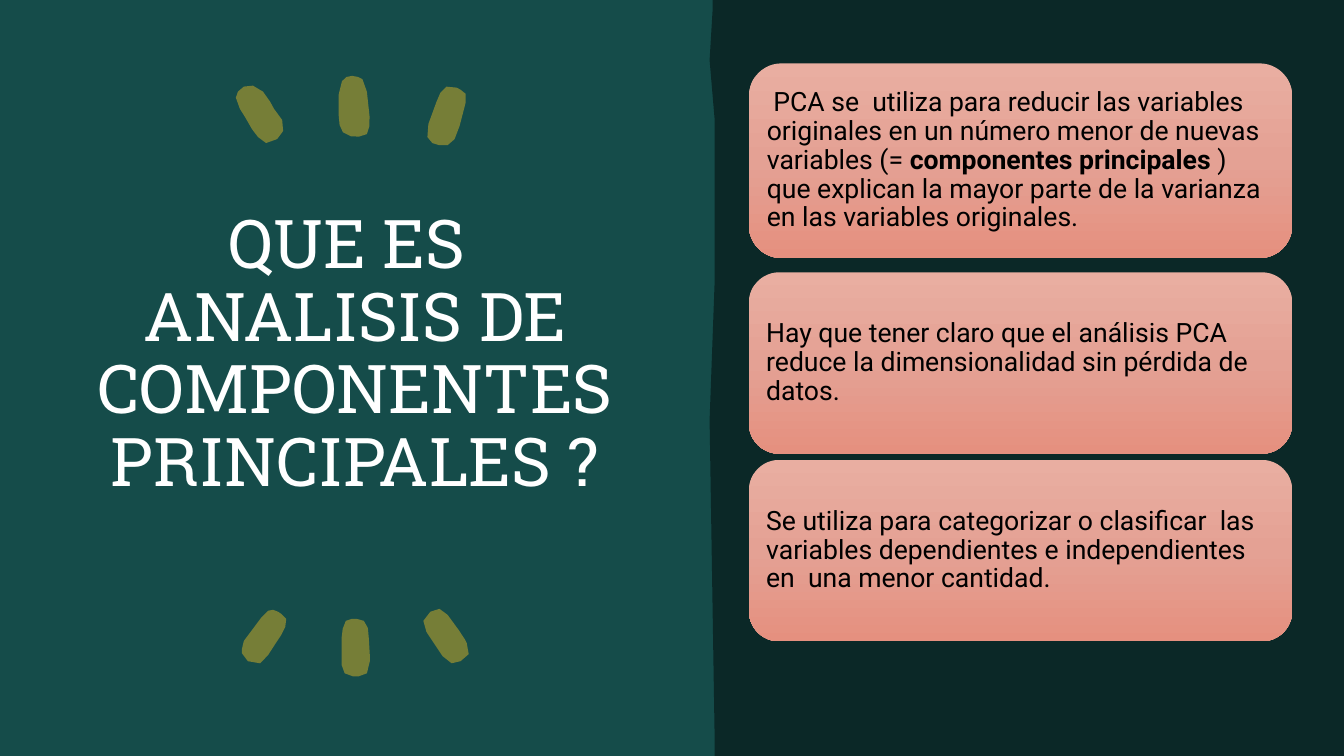
import copy
from dataclasses import dataclass

import pptx
import pptx.dml.color
import pptx.enum.shapes
import pptx.enum.text
import pptx.oxml.ns
import pptx.util
from pptx.util import Pt

Point = tuple[float, float]

DARK_GREEN = "0B2827"
TEAL = "154C4A"
OLIVE = "767E37"
CARD_GRADIENT = ("E9AEA1", "E4A194", "E5907F")
CARD_LEFT, CARD_WIDTH = 535, 388
TEXT_INSET = 5.8


@dataclass(frozen=True)
class Phrase:
    text: str
    bold: bool = False


@dataclass(frozen=True)
class Card:
    top: float
    height: float
    phrases: tuple[Phrase, ...]


@dataclass(frozen=True)
class Mark:
    outline: tuple[Point, ...]


UPPER_MARKS = (
    Mark(((184.3, 97.9), (180, 92.2), (175, 83.5), (171.4, 77.8), (168.5, 69.8),
          (170, 65.5), (174.2, 61.9), (180.7, 61.2), (187.9, 65.5), (193, 72.7),
          (195.8, 77.8), (201.6, 85.7), (202.3, 93.6), (198, 99.4), (190.1, 102.2))),
    Mark(((242.6, 89.3), (241.9, 82.1), (241.9, 67.7), (244.3, 58), (247.5, 55),
          (251.5, 54.2), (255.5, 54.9), (258.9, 56.5), (262.1, 65.5), (264, 83.3),
          (263.8, 90.4), (262.1, 95.8), (256.5, 97.6), (250.7, 97.4), (245, 94.5))),
    Mark(((332.6, 73.4), (332.6, 67), (329, 64.1), (326.2, 62.6), (319, 61.9),
          (314.6, 66.2), (311.8, 72.7), (306, 88.6), (305.3, 97.9), (308.9, 102.2),
          (313.9, 103.7), (319.7, 103.7), (324.7, 99.4), (328.3, 90))),
)
LOWER_MARKS = (
    Mark(((244.1, 475.2), (244.1, 466.6), (244.1, 455), (244.8, 449.3), (247, 443.5),
          (251.3, 442.1), (254.9, 442.1), (259.9, 443.5), (262.8, 448.6),
          (263.5, 456.5), (264.2, 468.7), (264.2, 472.3), (262.1, 481),
          (256.3, 483.1), (252, 483.1), (246.2, 481))),
    Mark(((319.7, 439.2), (327.6, 450), (331.9, 456.5), (333.4, 459.4),
          (334.8, 467.3), (329, 472.3), (322.6, 473.8), (316.1, 468.7),
          (304.6, 451.4), (302.4, 443.5), (307.4, 437), (313.9, 434.9))),
    Mark(((191.5, 436.3), (195.1, 435.6), (198.7, 437), (200.9, 438.5),
          (204.5, 442.1), (203.8, 447.8), (200.9, 453.6), (196.6, 460.1),
          (191.5, 468), (185.8, 473.8), (177.1, 472.3), (172.8, 466.6),
          (172.8, 463.7), (174.2, 457.9), (186.5, 441.4))),
)
PANEL_OUTLINE = ((509, 0), (960, 0), (960, 540), (510.5, 540), (510.5, 525),
                 (506.9, 300), (510.5, 202), (510.5, 85), (506.9, 43), (509, 8))

CARDS = (
    Card(45.3, 139, (
        Phrase(" PCA se  utiliza para reducir las variables originales en un "
               "número menor de nuevas variables (= "),
        Phrase("componentes principales", bold=True),
        Phrase(" ) que explican la mayor parte de la varianza en las variables "
               "originales."))),
    Card(194.5, 129.6, (
        Phrase("Hay que tener claro que el análisis PCA reduce la dimensionalidad "
               "sin pérdida de datos."),)),
    Card(328.5, 129.6, (
        Phrase("Se utiliza para categorizar o clasificar  las variables "
               "dependientes e independientes en  una menor cantidad."),)),
)


def color(hex_code: str) -> pptx.dml.color.RGBColor:
    return pptx.dml.color.RGBColor.from_string(hex_code)


def paint(shape, hex_code: str) -> None:
    shape.shadow.inherit = False
    shape.fill.solid()
    shape.fill.fore_color.rgb = color(hex_code)
    shape.line.fill.background()


def draw_outline(shapes, points: tuple[Point, ...], hex_code: str) -> None:
    start, *rest = [(Pt(x), Pt(y)) for x, y in points]
    builder = shapes.build_freeform(*start)
    builder.add_line_segments(rest, close=True)
    paint(builder.convert_to_shape(), hex_code)


def draw_marks(slide, marks: tuple[Mark, ...]) -> None:
    rays = slide.shapes.add_group_shape()
    for mark in marks:
        draw_outline(rays.shapes, mark.outline, OLIVE)


def set_frame(frame, inset: float) -> None:
    frame.word_wrap = True
    frame.auto_size = pptx.enum.text.MSO_AUTO_SIZE.NONE
    frame.vertical_anchor = pptx.enum.text.MSO_ANCHOR.MIDDLE
    frame.margin_left = frame.margin_right = Pt(inset)
    frame.margin_top = frame.margin_bottom = Pt(inset)
    frame.paragraphs[0].line_spacing = 0.9


def set_font(run, name: str, size: float, hex_code: str, bold: bool = False) -> None:
    run.font.name = name
    run.font.size = Pt(size)
    run.font.bold = bold
    run.font.color.rgb = color(hex_code)


def fill_card_gradient(shape) -> None:
    shape.fill.gradient()
    shape.fill.gradient_angle = 270
    stop_list = shape.element.spPr.find(".//" + pptx.oxml.ns.qn("a:gsLst"))
    stop_list.insert(1, copy.deepcopy(stop_list[0]))
    for i, (stop, hex_code) in enumerate(zip(shape.fill.gradient_stops, CARD_GRADIENT)):
        stop.position = i / 2
        stop.color.rgb = color(hex_code)


def draw_card(shapes, card: Card) -> None:
    panel = shapes.add_shape(
        pptx.enum.shapes.MSO_SHAPE.ROUNDED_RECTANGLE,
        Pt(CARD_LEFT), Pt(card.top), Pt(CARD_WIDTH), Pt(card.height))
    panel.shadow.inherit = False
    panel.line.fill.background()
    fill_card_gradient(panel)

    # The text keeps clear of the rounded corners
    margin = card.height * 0.05
    statement = shapes.add_textbox(
        Pt(CARD_LEFT + margin), Pt(card.top + margin),
        Pt(CARD_WIDTH - 2 * margin), Pt(card.height - 2 * margin))
    set_frame(statement.text_frame, TEXT_INSET)
    for phrase in card.phrases:
        run = statement.text_frame.paragraphs[0].add_run()
        run.text = phrase.text
        set_font(run, "Roboto", 19, "000000", phrase.bold)


def main() -> None:
    deck = pptx.Presentation()
    deck.slide_width, deck.slide_height = Pt(960), Pt(540)
    slide = deck.slides.add_slide(deck.slide_layouts.get_by_name("Title Only"))

    # Background, kept behind the title
    slide.background.fill.solid()
    slide.background.fill.fore_color.rgb = color(DARK_GREEN)
    backdrop = slide.shapes.add_shape(
        pptx.enum.shapes.MSO_SHAPE.RECTANGLE, 0, 0, deck.slide_width, deck.slide_height)
    paint(backdrop, TEAL)
    slide.shapes.element.insert(2, backdrop.element)

    # Title
    question = slide.shapes.title
    question.left, question.top = Pt(56.8), Pt(117.2)
    question.width, question.height = Pt(394), Pt(274)
    question.text_frame.text = "QUE ES \vANALISIS DE COMPONENTES PRINCIPALES ?"
    set_frame(question.text_frame, 0)
    heading = question.text_frame.paragraphs[0]
    heading.alignment = pptx.enum.text.PP_ALIGN.CENTER
    for run in heading.runs:
        set_font(run, "Roboto Slab", 48, "FFFFFF")

    # Marks around the title
    draw_marks(slide, UPPER_MARKS)
    draw_marks(slide, LOWER_MARKS)

    # Right panel with its cards
    draw_outline(slide.shapes, PANEL_OUTLINE, DARK_GREEN)
    statements = slide.shapes.add_group_shape()
    for card in CARDS:
        draw_card(statements.shapes, card)

    deck.save("out.pptx")


if __name__ == "__main__":
    main()
